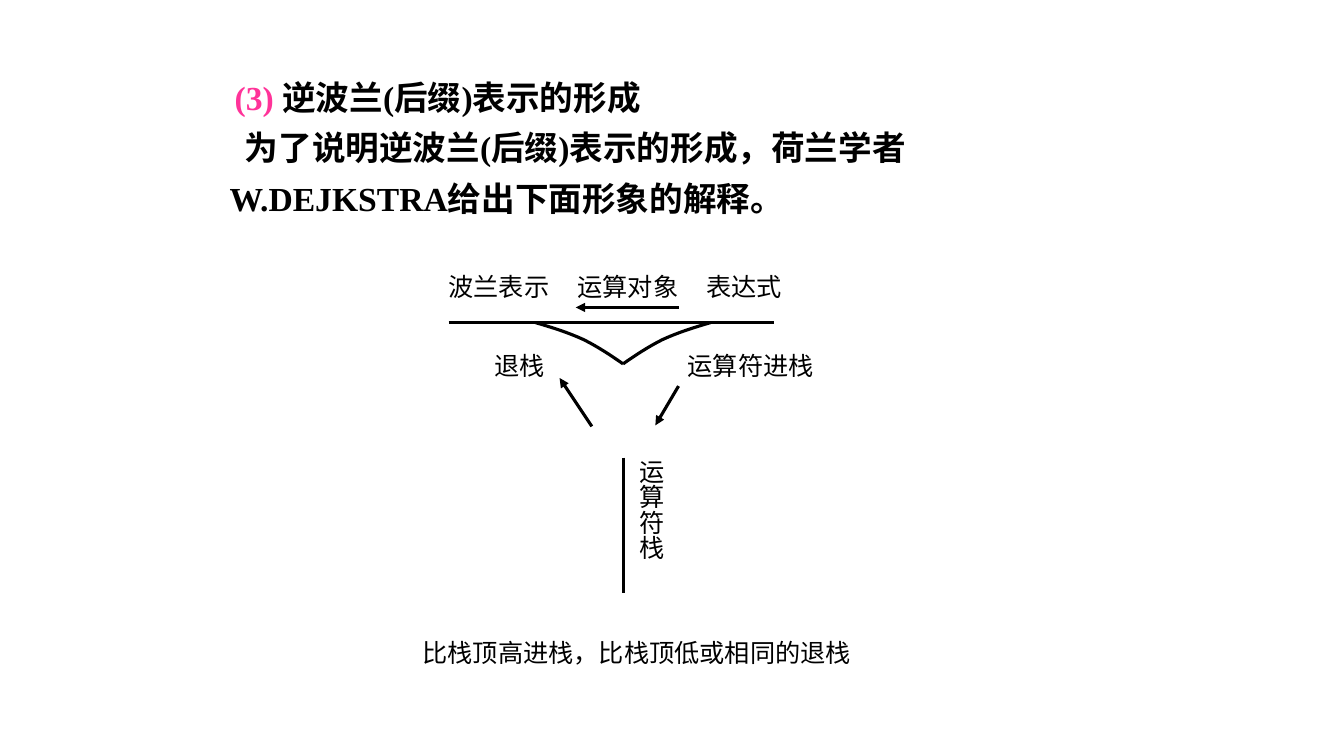
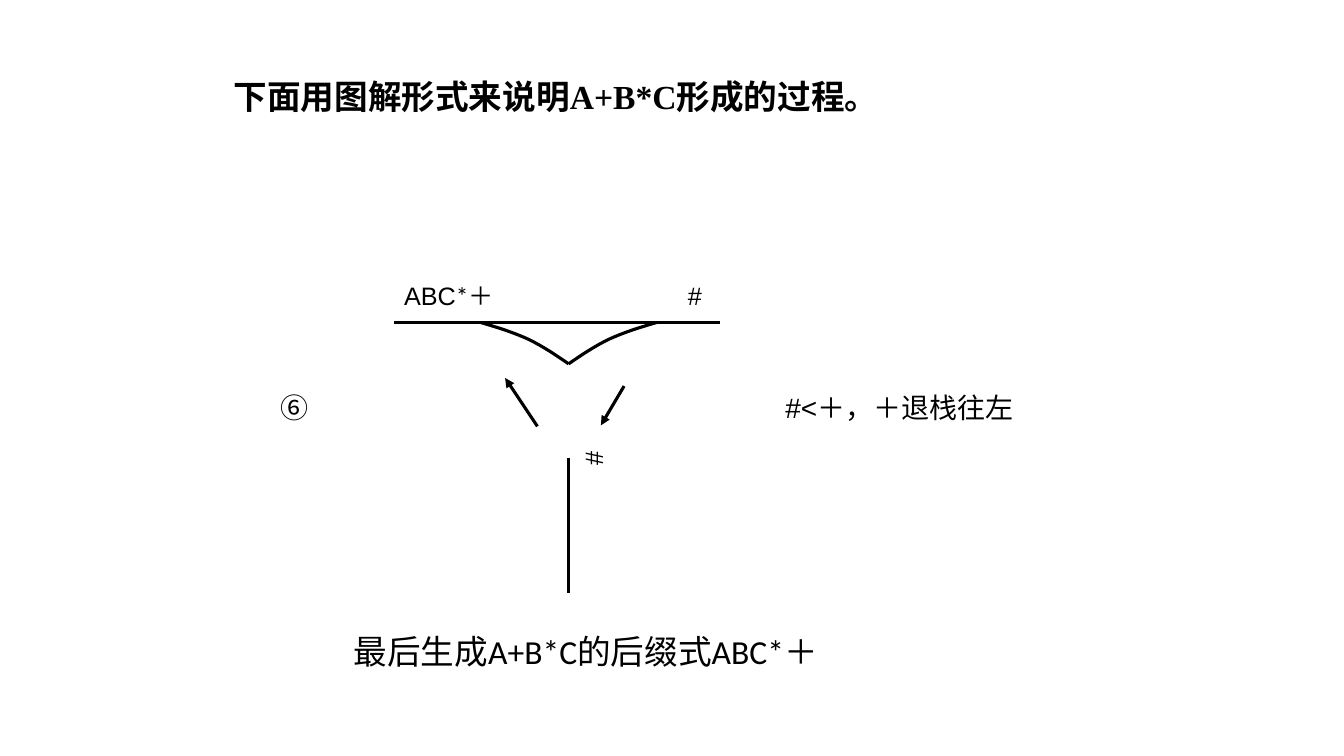
from dataclasses import dataclass
from typing import NamedTuple

from lxml.etree import SubElement
from pptx import Presentation
from pptx.dml.color import RGBColor
from pptx.enum.shapes import MSO_CONNECTOR
from pptx.enum.text import PP_ALIGN
from pptx.oxml.ns import qn
from pptx.util import Inches, Pt


@dataclass(frozen=True)
class Theme:
    ink: str = "000000"
    accent: str = "FF3399"
    paper: str = "FFFFFF"
    cjk: str = "Noto Sans CJK SC"
    serif: str = "Times New Roman"
    sans: str = "Arial"
    humanist: str = "Calibri"
    title: int = 24
    note: int = 20
    label: int = 18
    stroke: float = 2.25


T = Theme()


class Run(NamedTuple):
    text: str
    font: str = T.sans
    color: str = T.ink


class Para(NamedTuple):
    runs: list[Run]
    first: float = 0  # first-line indent in inches


class Box(NamedTuple):
    left: float
    top: float
    width: float
    height: float


class Label(NamedTuple):
    text: str
    box: Box
    align: PP_ALIGN = PP_ALIGN.CENTER
    size: int = T.label
    font: str = T.sans


class Arrow(NamedTuple):
    """Ends relative to the stack axis (x) and the slide (y)."""
    x1: float
    y1: float
    x2: float
    y2: float


BAR_Y = 3.2
BAR = Arrow(-1.73, BAR_Y, 1.5, BAR_Y)
STACK = Arrow(0, 4.54, 0, 5.88)
POP = Arrow(-0.31, 4.23, -0.63, 3.75)
PUSH = Arrow(0.55, 3.83, 0.32, 4.22)
# Two cubic segments from the bar down to the tip, relative to axis and bar
FUNNEL = [
    ((0.87, 0), (0.7, 0.05), (0.54, 0.1), (0.39, 0.17)),
    ((0.39, 0.17), (0.25, 0.24), (0.13, 0.32), (0, 0.41)),
]
STEPS = 8


def add_text(s, box: Box, paras: list[Para], *, size: int = T.label,
             bold: bool = False, align: PP_ALIGN = PP_ALIGN.LEFT,
             line_spacing: float | None = None, gap: float = 0,
             hang: float = 0, tabs: tuple[float, ...] = (),
             vertical: bool = False, fill: str | None = None):
    sp = s.shapes.add_textbox(*map(Inches, box))
    if fill:
        sp.fill.solid()
        sp.fill.fore_color.rgb = RGBColor.from_string(fill)
    tf = sp.text_frame
    tf.word_wrap = True
    if vertical:
        tf._txBody.bodyPr.set("vert", "eaVert")
    for i, para in enumerate(paras):
        p = tf.paragraphs[0] if i == 0 else tf.add_paragraph()
        p.alignment = align
        if line_spacing:
            p.line_spacing = line_spacing
        if i and gap:
            p.space_before = Pt(gap)
        pPr = p._p.get_or_add_pPr()
        if hang:
            pPr.set("marL", str(Inches(hang)))
            pPr.set("indent", str(Inches(para.first - hang)))
        if tabs:
            stops = SubElement(pPr, qn("a:tabLst"))
            for pos in tabs:
                SubElement(stops, qn("a:tab"), pos=str(Inches(pos)), algn="l")
        for run in para.runs:
            r = p.add_run()
            r.text = run.text
            r.font.size = Pt(size)
            r.font.bold = bold
            r.font.name = run.font
            r.font.color.rgb = RGBColor.from_string(run.color)
            SubElement(r._r.get_or_add_rPr(), qn("a:ea"), typeface=T.cjk)
    return sp


def add_heading(s, box: Box, paras: list[Para]) -> None:
    add_text(s, box, paras, size=T.title, bold=True, align=PP_ALIGN.JUSTIFY,
             line_spacing=0.9, gap=10, hang=0.25)


def add_label(s, label: Label, **fmt) -> None:
    add_text(s, label.box, [Para([Run(label.text, label.font)])],
             size=label.size, align=label.align, **fmt)


def style_line(line) -> None:
    line.color.rgb = RGBColor.from_string(T.ink)
    line.width = Pt(T.stroke)


def add_line(s, axis: float, ends: Arrow, head: bool = False) -> None:
    sp = s.shapes.add_connector(
        MSO_CONNECTOR.STRAIGHT, Inches(axis + ends.x1), Inches(ends.y1),
        Inches(axis + ends.x2), Inches(ends.y2))
    style_line(sp.line)
    if head:
        SubElement(sp.line._get_or_add_ln(), qn("a:tailEnd"), type="triangle")
    SubElement(sp._element.spPr, qn("a:effectLst"))


def bezier(points, t: float) -> tuple[float, float]:
    weights = ((1 - t) ** 3, 3 * t * (1 - t) ** 2, 3 * t * t * (1 - t), t ** 3)
    return (sum(w * x for w, (x, _) in zip(weights, points)),
            sum(w * y for w, (_, y) in zip(weights, points)))


def add_funnel_side(s, axis: float, side: int) -> None:
    curve = [bezier(seg, n / STEPS) for seg in FUNNEL for n in range(STEPS + 1)]
    points = [(Inches(axis + side * x), Inches(BAR_Y + y)) for x, y in curve]
    builder = s.shapes.build_freeform(*points[0])
    builder.add_line_segments(points[1:], close=False)
    sp = builder.convert_to_shape()
    sp.shadow.inherit = False
    sp.fill.background()
    style_line(sp.line)


def add_stack_diagram(s, axis: float) -> None:
    for ends in (BAR, STACK):
        add_line(s, axis, ends)
    for side in (-1, 1):
        add_funnel_side(s, axis, side)
    for ends in (POP, PUSH):
        add_line(s, axis, ends, head=True)


def build_explanation(s) -> None:
    add_heading(s, Box(2.18, 0.76, 8.96, 1.58), [
        Para([Run("(3) ", T.serif, T.accent),
              Run("逆波兰(后缀)表示的形成", T.serif)], first=0.05),
        Para([Run("为了说明逆波兰(后缀)表示的形成，荷兰学者", T.serif)],
             first=0.15),
        Para([Run("W.DEJKSTRA给出下面形象的解释。", T.serif)]),
    ])
    axis = 6.18
    add_stack_diagram(s, axis)
    add_line(s, axis, Arrow(0.55, 3.05, -0.47, 3.05), head=True)
    add_label(s, Label("波兰表示\t运算对象\t表达式", Box(4.35, 2.64, 3.96, 0.4),
                       PP_ALIGN.LEFT), tabs=(1.28, 2.56))
    for label in (
        Label("运算符进栈", Box(6.5, 3.43, 1.89, 0.4)),
        Label("退栈", Box(4.76, 3.43, 0.79, 0.4)),
        Label("比栈顶高进栈，比栈顶低或相同的退栈", Box(2.89, 6.27, 6.85, 0.4)),
    ):
        add_label(s, label)
    add_label(s, Label("运算符栈", Box(6.15, 4.46, 0.51, 1.5), PP_ALIGN.LEFT),
              vertical=True)


def build_final_step(s) -> None:
    add_heading(s, Box(2.17, 0.75, 8.96, 0.72), [
        Para([Run("下面用图解形式来说明A+B*C形成的过程。", T.serif)], first=0.05),
    ])
    add_stack_diagram(s, 5.64)
    add_text(s, Box(3.91, 2.73, 1.49, 0.4),
             [Para([Run("ABC"), Run("*＋", T.humanist)])])
    for label in (
        Label("#", Box(5.72, 2.73, 1.34, 0.4), PP_ALIGN.RIGHT),
        Label("⑥", Box(2.41, 3.83, 1.02, 0.43), size=T.note, font=T.cjk),
        Label("最后生成A+B*C的后缀式ABC*＋", Box(3.41, 6.21, 5.67, 0.5),
              PP_ALIGN.LEFT, T.title, T.humanist),
    ):
        add_label(s, label)
    add_label(s, Label("#<＋，＋退栈往左", Box(7.69, 3.83, 3.98, 0.43),
                       PP_ALIGN.LEFT, T.note), fill=T.paper)
    add_label(s, Label("#", Box(5.61, 4.38, 0.5, 1.5), PP_ALIGN.LEFT),
              vertical=True)


def main() -> None:
    prs = Presentation()
    prs.slide_width, prs.slide_height = Inches(13.33), Inches(7.5)
    for build in (build_explanation, build_final_step):
        build(prs.slides.add_slide(prs.slide_layouts[6]))
    prs.save("out.pptx")


if __name__ == "__main__":
    main()
